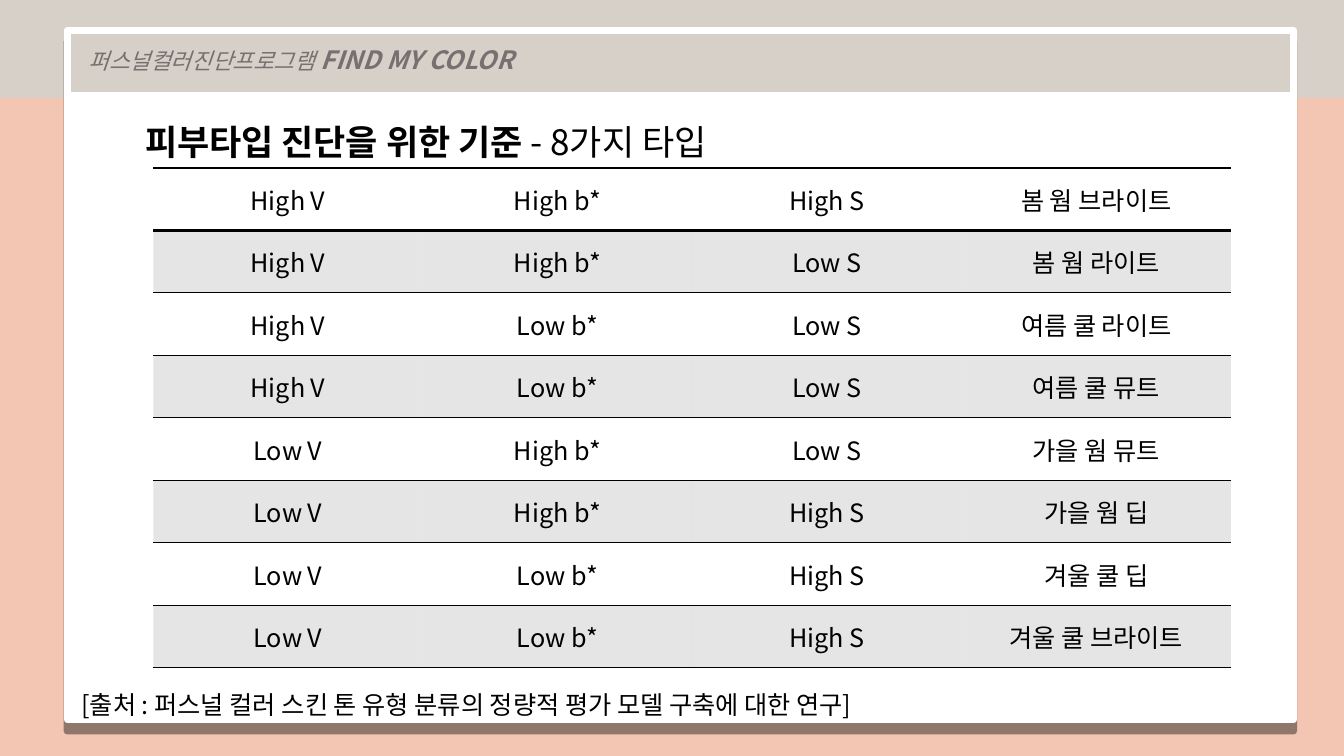
from dataclasses import dataclass

from lxml import etree
from pptx import Presentation
from pptx.dml.color import RGBColor
from pptx.enum.shapes import MSO_SHAPE
from pptx.enum.text import MSO_ANCHOR, MSO_AUTO_SIZE, PP_ALIGN
from pptx.oxml.ns import qn
from pptx.util import Inches, Pt

RECTANGLE = MSO_SHAPE.RECTANGLE
MIDDLE = MSO_ANCHOR.MIDDLE
CENTER = PP_ALIGN.CENTER
GROW = MSO_AUTO_SIZE.SHAPE_TO_FIT_TEXT
COLUMNS, ROWS = 160, 90


@dataclass(frozen=True)
class Theme:
    font: str = "Noto Sans CJK KR"
    peach: str = "F3C6B3"
    beige: str = "D7D0C8"
    white: str = "FFFFFF"
    black: str = "000000"
    gray: str = "767171"
    band: str = "7F7F7F"
    band_opacity: int = 20
    shadow_opacity: int = 40
    small: int = 16
    body: int = 18
    title: int = 25
    thin: float = 0.79
    thick: float = 1.79


class SlideBuilder:
    def __init__(self, presentation, theme):
        self.theme = theme
        self.slide = presentation.slides.add_slide(presentation.slide_layouts[6])
        self.column = presentation.slide_width / COLUMNS
        self.row = presentation.slide_height / ROWS

    def place(self, left, top, width, height):
        """Turn grid columns and rows into slide lengths."""
        return (int(left * self.column), int(top * self.row),
                int(width * self.column), int(height * self.row))

    def split_fill(self, fill, lower, upper, share):
        """Two flat colours that meet at a share of the height from the bottom."""
        fill.gradient()
        fill.gradient_angle = 90
        for stop, color in zip(fill.gradient_stops, (lower, upper)):
            stop.position = share
            stop.color.rgb = RGBColor.from_string(color)

    def add_opacity(self, color_element, percent):
        etree.SubElement(color_element, qn("a:alpha"), val=str(percent * 1000))

    def background(self, lower, upper, share):
        self.split_fill(self.slide.background.fill, lower, upper, share)

    def card(self, box, lower, upper, share):
        shape = self.slide.shapes.add_shape(RECTANGLE, *self.place(*box))
        self.split_fill(shape.fill, lower, upper, share)
        shape.line.color.rgb = RGBColor.from_string(self.theme.white)
        shape.line.width = Pt(5)
        # Hard shadow straight below
        shape.shadow.inherit = False
        effects = shape._element.spPr.find(qn("a:effectLst"))
        shadow = etree.SubElement(effects, qn("a:outerShdw"), blurRad="0",
                                  dist=str(Pt(8)), dir="5400000",
                                  algn="t", rotWithShape="0")
        color = etree.SubElement(shadow, qn("a:srgbClr"), val=self.theme.black)
        self.add_opacity(color, self.theme.shadow_opacity)

    def style_run(self, run, size, color, bold=False, italic=False):
        font = run.font
        font.size, font.bold, font.italic = Pt(size), bold, italic
        font.color.rgb = RGBColor.from_string(color)
        font.name = self.theme.font
        etree.SubElement(run._r.get_or_add_rPr(), qn("a:ea"), typeface=self.theme.font)

    def text(self, box, runs, color, italic=False, line_spacing=None):
        """Each run is (text, size, bold)."""
        frame = self.slide.shapes.add_textbox(*self.place(*box)).text_frame
        frame.word_wrap = True
        frame.auto_size = GROW
        paragraph = frame.paragraphs[0]
        paragraph.line_spacing = line_spacing
        for text, size, bold in runs:
            run = paragraph.add_run()
            run.text = text
            self.style_run(run, size, color, bold, italic)

    def border(self, cell, side, width):
        properties = cell._tc.get_or_add_tcPr()
        line = etree.SubElement(properties, qn(f"a:ln{side}"), w=str(Pt(width)))
        if width:
            fill = etree.SubElement(line, qn("a:solidFill"))
            etree.SubElement(fill, qn("a:srgbClr"), val=self.theme.black)
        else:
            etree.SubElement(line, qn("a:noFill"))

    def table(self, box, records):
        theme = self.theme
        table = self.slide.shapes.add_table(
            len(records), len(records[0]), *self.place(*box)).table
        table.first_row = table.horz_banding = False
        for index, record in enumerate(records):
            top = theme.thick if index < 2 else theme.thin
            bottom = theme.thick if index == 0 else theme.thin
            for column, text in enumerate(record):
                cell = table.cell(index, column)
                for side, width in zip("LRTB", (0, 0, top, bottom)):
                    self.border(cell, side, width)
                if index % 2:
                    cell.fill.solid()
                    cell.fill.fore_color.rgb = RGBColor.from_string(theme.band)
                    color = cell._tc.tcPr.find(qn("a:solidFill"))[0]
                    self.add_opacity(color, theme.band_opacity)
                else:
                    cell.fill.background()
                cell.vertical_anchor = MIDDLE
                cell.text_frame.text = text
                paragraph = cell.text_frame.paragraphs[0]
                paragraph.alignment = CENTER
                self.style_run(paragraph.runs[0], theme.body, theme.black)


SKIN_TYPES = [
    ("High V", "High b*", "High S", "봄 웜 브라이트"),
    ("High V", "High b*", "Low S", "봄 웜 라이트"),
    ("High V", "Low b*", "Low S", "여름 쿨 라이트"),
    ("High V", "Low b*", "Low S", "여름 쿨 뮤트"),
    ("Low V", "High b*", "Low S", "가을 웜 뮤트"),
    ("Low V", "High b*", "High S", "가을 웜 딥"),
    ("Low V", "Low b*", "High S", "겨울 쿨 딥"),
    ("Low V", "Low b*", "High S", "겨울 쿨 브라이트"),
]


def main():
    theme = Theme()
    presentation = Presentation()
    presentation.slide_width, presentation.slide_height = Inches(13.33), Inches(7.5)
    builder = SlideBuilder(presentation, theme)

    # Backdrop and card
    builder.background(theme.peach, theme.beige, 0.87)
    builder.card((8, 3.6, 146, 82.1), theme.white, theme.beige, 0.91)

    # Program name in the card's header
    builder.text((9.4, 2.9, 70.6, 6.5),
                 [("퍼스널컬러진단프로그램", theme.small, False),
                  (" ", theme.body, False),
                  ("FIND MY COLOR", theme.body, True)],
                 theme.gray, italic=True, line_spacing=1.5)

    # Skin type criteria
    builder.table((18.25, 20, 128.3, 59.5), SKIN_TYPES)
    builder.text((16.1, 13.7, 134.2, 6.2),
                 [("피부타입 진단을 위한 기준 ", theme.title, True),
                  ("- 8가지 타입", theme.title, False)], theme.black)

    # Source
    builder.text((8.5, 81.5, 117.7, 4.8),
                 [("[출처 : 퍼스널 컬러 스킨 톤 유형 분류의 정량적 평가 모델 구축에 대한 연구]",
                   theme.body, False)], theme.black)

    presentation.save("out.pptx")


if __name__ == "__main__":
    main()
